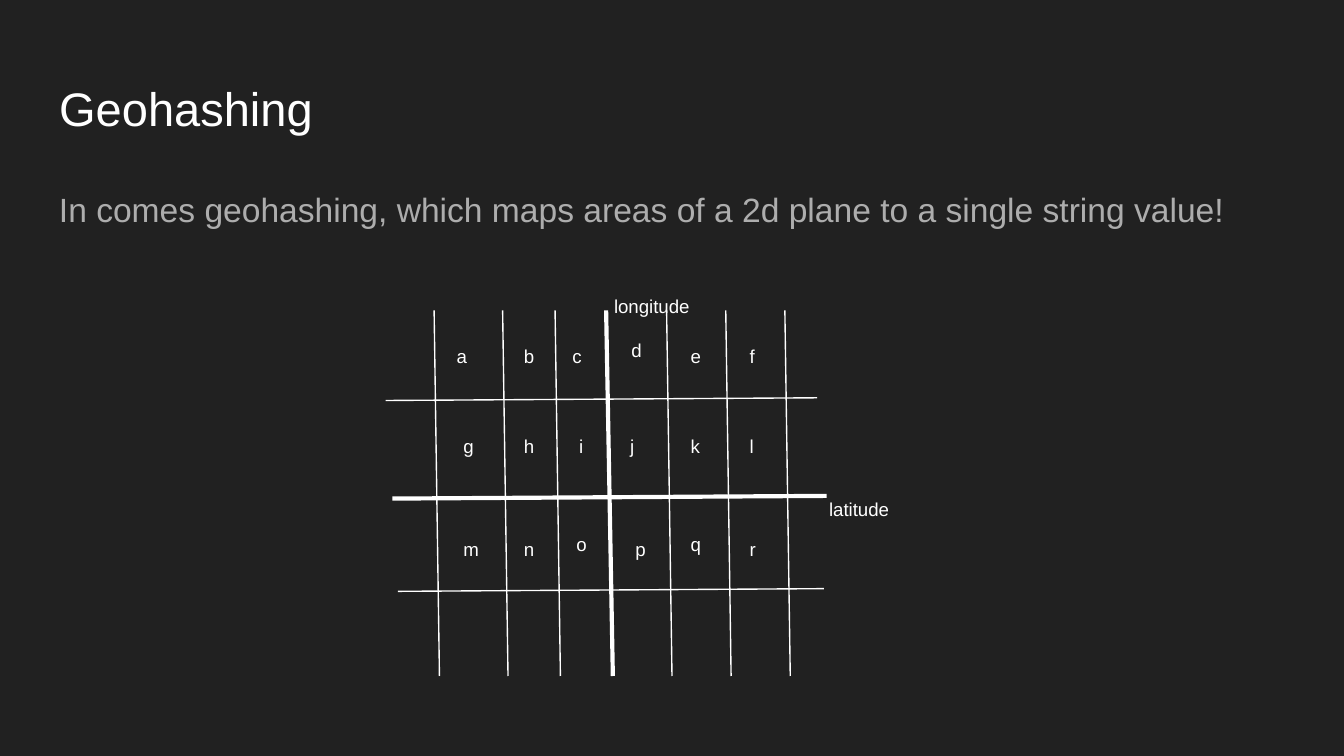
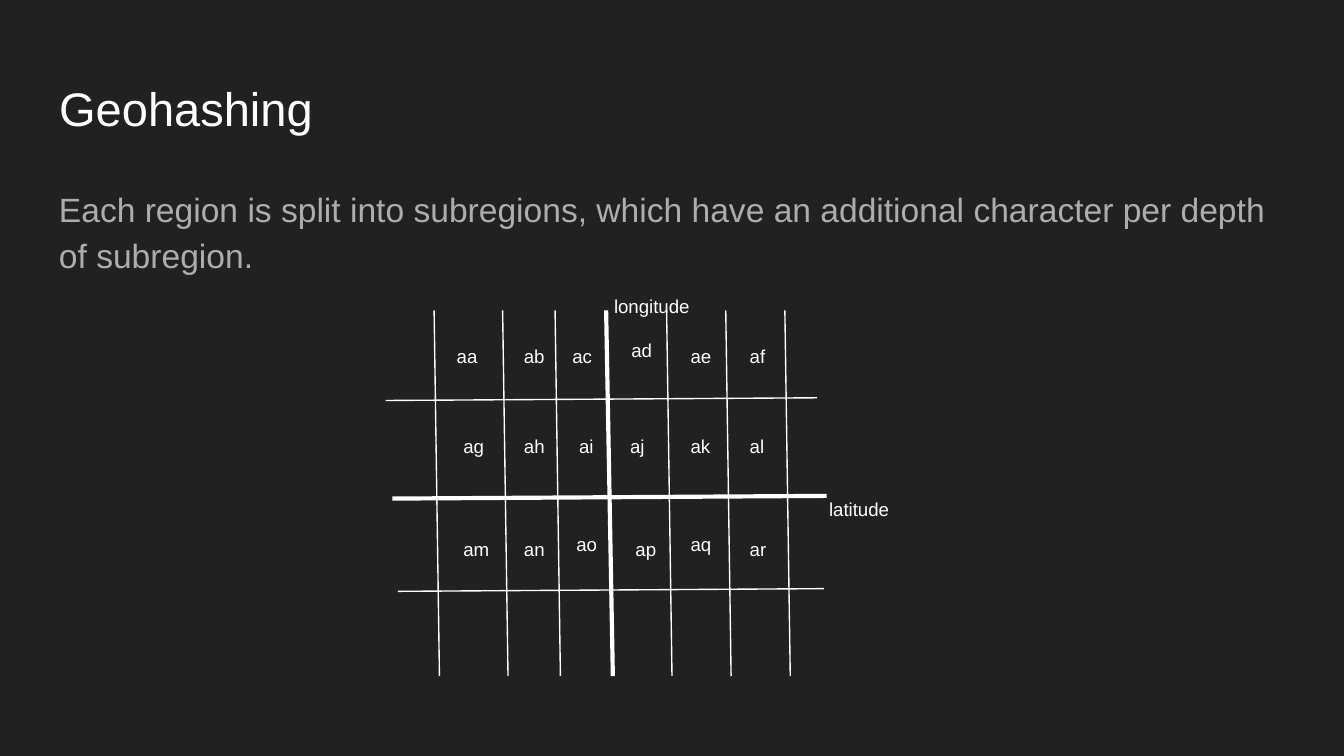
from lxml import etree
from pptx import Presentation
from pptx import util as u
from pptx.dml.color import RGBColor
from pptx.enum import shapes, text
from pptx.oxml import ns

SLIDE_WIDTH = 10
SLIDE_HEIGHT = SLIDE_WIDTH * 9 / 16

BACKGROUND = RGBColor(0x21, 0x21, 0x21)
WHITE = RGBColor(0xFF, 0xFF, 0xFF)
GREY = RGBColor(0xAD, 0xAD, 0xAD)

# Text styles shared by the slides
TITLE = {"name": "Arial", "size": u.Pt(25.2), "color": WHITE}
BODY = {"name": "Arial", "size": u.Pt(18), "color": GREY}
LABEL = {"name": "Arial", "size": u.Pt(10), "color": WHITE}
FRAME = dict.fromkeys(
    ("margin_left", "margin_top", "margin_right", "margin_bottom"), u.Inches(0.1))
FRAME["word_wrap"] = True

# Map lines, in inches; each line leans slightly over its length
MAP_TOP, MAP_BOTTOM = 2.31, 5.03
MERIDIAN_LEAN, PARALLEL_RISE = 0.04, 0.02
MERIDIANS = (3.23, 3.74, 4.13, 4.96, 5.40, 5.84)
PARALLELS = ((2.87, 6.08, 2.98), (2.96, 6.13, 4.40))
THIN, THICK = 0.75, 2.25
LABEL_HEIGHT = 0.37

# Region letters: grid places, and the offsets of those set by hand
REGION_ROWS = ("abcdef", "ghijkl", "mnopqr")
ROW_TOPS = (2.48, 3.15, 3.92)
COLUMN_LEFTS = (3.35, 3.80, 4.16, 4.60, 5.04, 5.48)
OFFSETS = {
    "a": (-0.05, 0), "d": (0, -0.04), "i": (0.05, 0), "j": (-0.01, 0),
    "o": (0.03, -0.04), "p": (0.03, 0), "q": (0, -0.04),
}

# Widths of the region labels
REGION_WIDTH, SUBREGION_WIDTH = 0.32, 0.44
SUBREGION_WIDTHS = {
    **dict.fromkeys("fijl", 0.32), **dict.fromkeys("hnq", 0.38),
    **dict.fromkeys("bc", 0.50),
}

SLIDES = (
    ("In comes geohashing, which maps areas of a 2d plane "
     "to a single string value!", ""),
    ("Each region is split into subregions, which have an additional "
     "character per depth of subregion.", "a"),
)


def write(frame, words, style):
    for key, value in FRAME.items():
        setattr(frame, key, value)
    paragraph = frame.paragraphs[0]
    paragraph.alignment = text.PP_ALIGN.LEFT
    run = paragraph.add_run()
    run.text = words
    run.font.name, run.font.size = style["name"], style["size"]
    run.font.color.rgb = style["color"]
    return paragraph


def add_title(slide, words):
    title = slide.shapes.title
    place = {"left": 0.34, "top": 0.49, "width": 9.32, "height": 0.63}
    for key, value in place.items():
        setattr(title, key, u.Inches(value))
    frame = title.text_frame
    frame.auto_size = text.MSO_AUTO_SIZE.NONE
    frame.vertical_anchor = text.MSO_ANCHOR.MIDDLE
    write(frame, words, TITLE)


def add_body(slide, words):
    body = slide.shapes.add_textbox(*map(u.Inches, (0.34, 1.26, 9.32, 3.74)))
    paragraph = write(body.text_frame, words, BODY)
    paragraph.line_spacing = 1.15
    paragraph.space_after = u.Pt(12)


def add_label(slide, words, left, top, width):
    label = slide.shapes.add_textbox(
        *map(u.Inches, (left, top, width, LABEL_HEIGHT)))
    write(label.text_frame, words, LABEL)
    label.text_frame.auto_size = text.MSO_AUTO_SIZE.SHAPE_TO_FIT_TEXT


def add_line(slide, start, end, weight):
    line = slide.shapes.add_connector(
        shapes.MSO_CONNECTOR.STRAIGHT, *map(u.Inches, (*start, *end)))
    line.line.color.rgb = WHITE
    line.line.width = u.Pt(weight)
    etree.SubElement(line._element.spPr, ns.qn("a:effectLst"))


def add_map(slide):
    # Main axes and their names
    add_line(slide, (4.51, MAP_TOP), (4.56, MAP_BOTTOM), THICK)
    add_line(slide, (2.92, 3.71), (6.15, 3.71 - PARALLEL_RISE), THICK)
    add_label(slide, "latitude", 6.07, 3.62, 0.85)
    add_label(slide, "longitude", 4.47, 2.11, 0.85)
    # Region borders
    for x in MERIDIANS:
        add_line(slide, (x, MAP_TOP), (x + MERIDIAN_LEAN, MAP_BOTTOM), THIN)
    for west, east, y in PARALLELS:
        add_line(slide, (west, y), (east, y - PARALLEL_RISE), THIN)


def add_regions(slide, prefix):
    for letters, top in zip(REGION_ROWS, ROW_TOPS):
        for letter, left in zip(letters, COLUMN_LEFTS):
            dx, dy = OFFSETS.get(letter, (0, 0))
            width = (SUBREGION_WIDTHS.get(letter, SUBREGION_WIDTH)
                     if prefix else REGION_WIDTH)
            add_label(slide, prefix + letter, left + dx, top + dy, width)


def main():
    deck = Presentation()
    deck.slide_width = u.Inches(SLIDE_WIDTH)
    deck.slide_height = u.Inches(SLIDE_HEIGHT)
    backdrop = deck.slide_master.background.fill
    backdrop.solid()
    backdrop.fore_color.rgb = BACKGROUND
    title_only = deck.slide_layouts[5]
    for explanation, prefix in SLIDES:
        slide = deck.slides.add_slide(title_only)
        add_title(slide, "Geohashing")
        add_body(slide, explanation)
        add_map(slide)
        add_regions(slide, prefix)
    deck.save("out.pptx")


main()
